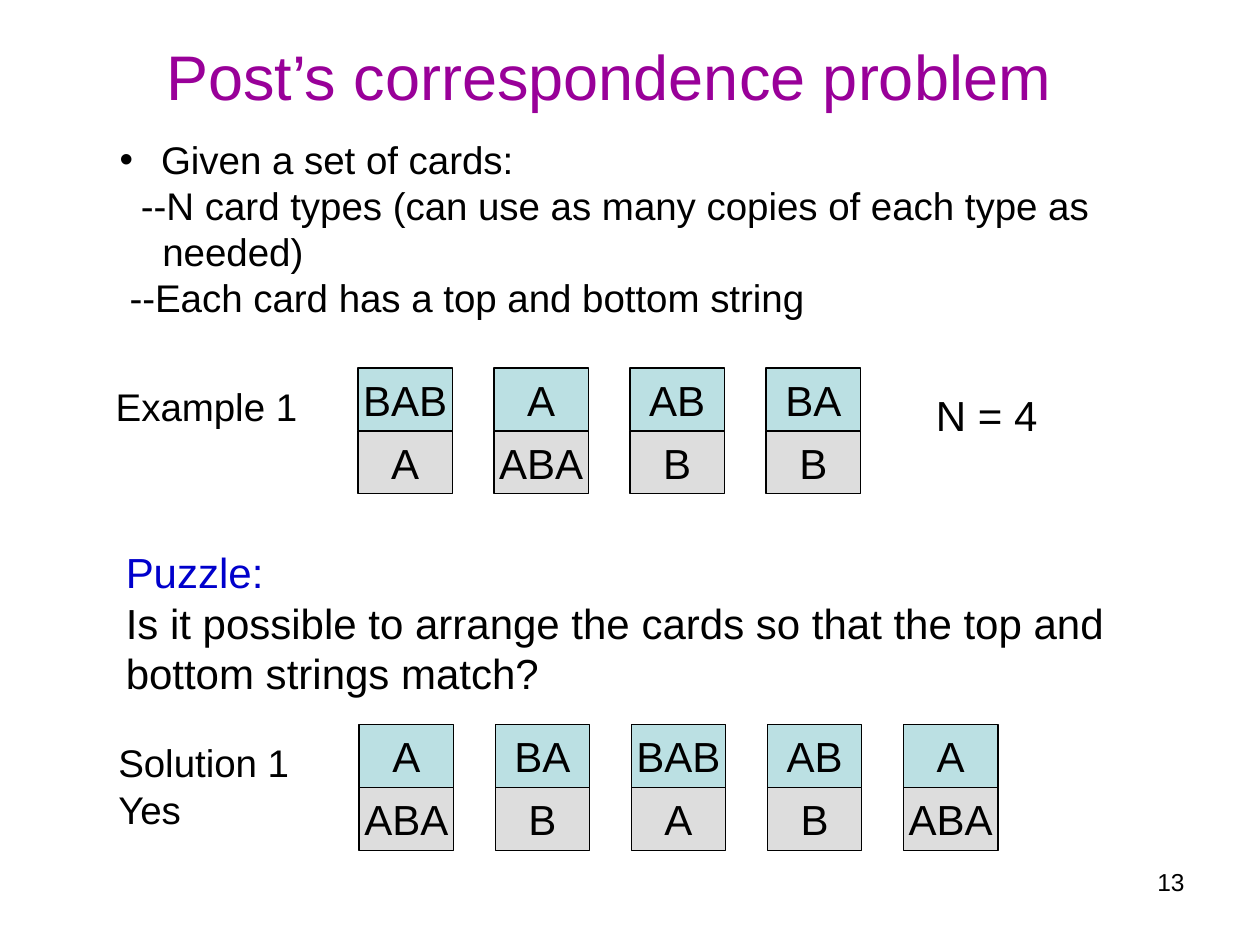
from dataclasses import dataclass

import pptx
import pptx.dml.color
import pptx.enum.shapes
import pptx.enum.text
import pptx.oxml.ns
import pptx.util
from lxml import etree

Inches = pptx.util.Inches
Align = pptx.enum.text.PP_ALIGN
RGBColor = pptx.dml.color.RGBColor

BLACK = RGBColor(0x00, 0x00, 0x00)
PURPLE = RGBColor(0x99, 0x00, 0x99)
BLUE = RGBColor(0x00, 0x00, 0xCC)
TOP_FILL = RGBColor(0xBB, 0xE0, 0xE3)
BOTTOM_FILL = RGBColor(0xDD, 0xDD, 0xDD)

FONT = "Arial"
CARD_WIDTH = 0.75
HALF_HEIGHT = 0.5
CARD_PITCH = 1.08


@dataclass
class Line:
    text: str
    color: RGBColor = BLACK
    indent: float = 0
    bullet: bool = False


@dataclass
class Label:
    left: float
    top: float
    width: float
    height: float
    size: int
    lines: list[Line]
    align: Align = Align.LEFT


@dataclass
class Card:
    top: str
    bottom: str


@dataclass
class CardRow:
    left: float
    top: float
    cards: list[Card]


LABELS = [
    Label(1.08, 0.25, 7.47, 0.7, 36,
          [Line("Post’s correspondence problem", PURPLE, 0.14)]),
    Label(0.85, 1.03, 7.99, 1.57, 22, [
        Line("Given a set of cards:", indent=0.33, bullet=True),
        Line("--N card types (can use as many copies of each type as", indent=0.17),
        Line("needed)", indent=0.34),
        Line("--Each card has a top and bottom string", indent=0.08),
    ]),
    Label(7.33, 3.04, 1.1, 0.5, 24, [Line("N = 4")]),
    Label(0.82, 2.99, 1.74, 0.47, 22, [Line("Example 1")]),
    Label(0.9, 4.29, 8.06, 1.3, 24, [
        Line("Puzzle:", BLUE),
        Line("Is it possible to arrange the cards so that the top and"),
        Line("bottom strings match?"),
    ]),
    Label(0.84, 5.82, 1.65, 0.84, 22, [Line("Solution 1"), Line("Yes")]),
    Label(7.17, 6.83, 2.33, 0.52, 14, [Line("13")], Align.RIGHT),
]

BAB_A = Card("BAB", "A")
A_ABA = Card("A", "ABA")
AB_B = Card("AB", "B")
BA_B = Card("BA", "B")

ROWS = [
    CardRow(2.84, 2.92, [BAB_A, A_ABA, AB_B, BA_B]),
    CardRow(2.85, 5.75, [A_ABA, BA_B, BAB_A, AB_B, A_ABA]),
]


def style_runs(para, size: int, color: RGBColor) -> None:
    for span in para.runs:
        span.font.name = FONT
        span.font.size = pptx.util.Pt(size)
        span.font.color.rgb = color


def set_indent(para, line: Line) -> None:
    properties = para._p.get_or_add_pPr()
    properties.set("marL", str(Inches(line.indent)))
    properties.set("indent", str(-Inches(line.indent) if line.bullet else 0))
    if line.bullet:
        font = etree.SubElement(properties, pptx.oxml.ns.qn("a:buFont"))
        font.set("typeface", FONT)
        bullet = etree.SubElement(properties, pptx.oxml.ns.qn("a:buChar"))
        bullet.set("char", "•")


def draw_label(page, label: Label) -> None:
    box = page.shapes.add_textbox(
        Inches(label.left), Inches(label.top), Inches(label.width), Inches(label.height))
    frame = box.text_frame
    frame.word_wrap = True
    frame.text = "\n".join(line.text for line in label.lines)
    for para, line in zip(frame.paragraphs, label.lines):
        para.alignment = label.align
        style_runs(para, label.size, line.color)
        if line.indent:
            set_indent(para, line)


def draw_half(page, left: float, top: float, text: str, fill: RGBColor) -> None:
    box = page.shapes.add_shape(
        pptx.enum.shapes.MSO_SHAPE.RECTANGLE,
        Inches(left), Inches(top), Inches(CARD_WIDTH), Inches(HALF_HEIGHT))
    box.shadow.inherit = False
    box.fill.solid()
    box.fill.fore_color.rgb = fill
    box.line.color.rgb = BLACK
    box.line.width = pptx.util.Pt(0.75)
    frame = box.text_frame
    frame.word_wrap = False
    frame.vertical_anchor = pptx.enum.text.MSO_ANCHOR.MIDDLE
    frame.text = text
    para = frame.paragraphs[0]
    para.alignment = Align.CENTER
    style_runs(para, 24, BLACK)


def draw_row(page, row: CardRow) -> None:
    for index, card in enumerate(row.cards):
        left = row.left + index * CARD_PITCH
        draw_half(page, left, row.top, card.top, TOP_FILL)
        draw_half(page, left, row.top + HALF_HEIGHT, card.bottom, BOTTOM_FILL)


def main() -> None:
    deck = pptx.Presentation()
    deck.slide_width = Inches(10)
    deck.slide_height = Inches(7.5)
    page = deck.slides.add_slide(deck.slide_layouts[6])
    for label in LABELS:
        draw_label(page, label)
    for row in ROWS:
        draw_row(page, row)
    deck.save("out.pptx")


if __name__ == "__main__":
    main()
